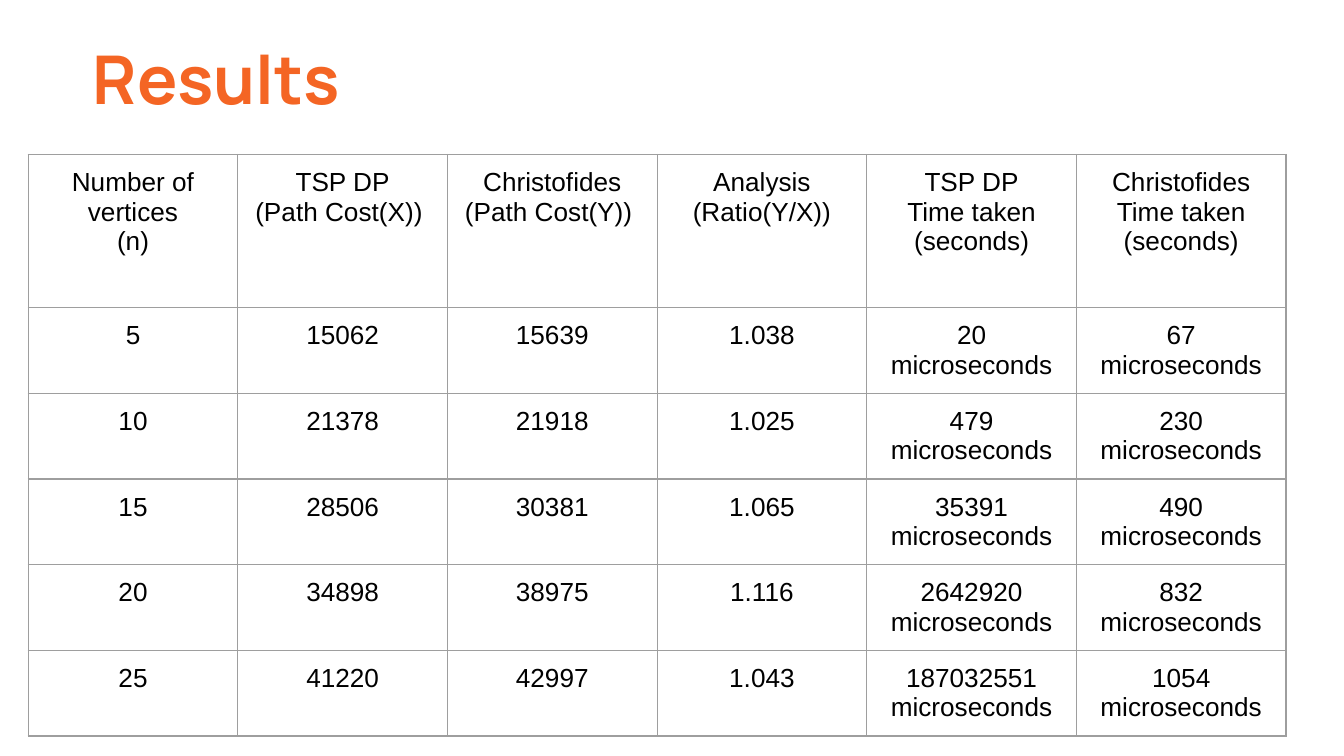
from lxml import etree
from pptx import Presentation
from pptx.dml.color import RGBColor
from pptx.enum import text as t
from pptx.oxml import ns
from pptx.util import Inches, Pt

HEADINGS = [
    "Number of vertices\n(n)",
    "TSP DP\n(Path Cost(X)) ",
    "Christofides\n(Path Cost(Y)) ",
    "Analysis\n(Ratio(Y/X))",
    "TSP DP\nTime taken (seconds)",
    "Christofides\nTime taken\n(seconds)",
]
RESULTS = [
    ("5", "15062", "15639", "1.038", "20", "67"),
    ("10", "21378", "21918", "1.025", "479", "230"),
    ("15", "28506", "30381", "1.065", "35391", "490"),
    ("20", "34898", "38975", "1.116", "2642920", "832"),
    ("25", "41220", "42997", "1.043", "187032551", "1054"),
]
COLUMN_WIDTH = 1.56
HEADER_HEIGHT = 1.14
ROW_HEIGHT = 0.56


def color(value):
    return RGBColor.from_string(value)


def write(frame, content, *, size, font, fill, bold=False,
          align=t.PP_ALIGN.LEFT, space_after=0):
    """Fill a text frame, one paragraph per line of content."""
    frame.text = content
    for paragraph in frame.paragraphs:
        paragraph.alignment = align
        paragraph.space_before = Pt(0)
        paragraph.space_after = Pt(space_after)
        for run in paragraph.runs:
            run.font.size = Pt(size)
            run.font.name = font
            run.font.bold = bold
            run.font.color.rgb = color(fill)


def set_margins(holder):
    holder.margin_left = holder.margin_right = Inches(0.1)
    holder.margin_top = holder.margin_bottom = Inches(0.1)


def set_borders(cell, line_color, width):
    properties = cell._tc.get_or_add_tcPr()
    for position, side in enumerate(("lnL", "lnR", "lnT", "lnB")):
        line = etree.Element(ns.qn(f"a:{side}"), w=str(Pt(width)))
        solid = etree.SubElement(line, ns.qn("a:solidFill"))
        etree.SubElement(solid, ns.qn("a:srgbClr"), val=line_color)
        properties.insert(position, line)


def add_title(slide, content):
    title = slide.shapes.title
    title.left, title.top = Inches(0.59), Inches(0.18)
    title.width, title.height = Inches(8.86), Inches(0.84)
    frame = title.text_frame
    set_margins(frame)
    frame.word_wrap = True
    frame.auto_size = t.MSO_AUTO_SIZE.NONE
    frame.vertical_anchor = t.MSO_ANCHOR.TOP
    write(frame, content, size=36, font="Manrope", fill="F46524", bold=True,
          space_after=16)


def add_results_table(slide, rows):
    heights = [HEADER_HEIGHT] + [ROW_HEIGHT] * (len(rows) - 1)
    column_count = len(rows[0])
    table = slide.shapes.add_table(
        len(rows), column_count, Inches(0.21), Inches(1.15),
        Inches(COLUMN_WIDTH * column_count), Inches(sum(heights))).table
    table.first_row = table.horz_banding = False
    for column in table.columns:
        column.width = Inches(COLUMN_WIDTH)
    for row, height, values in zip(table.rows, heights, rows):
        row.height = Inches(height)
        for cell, value in zip(row.cells, values):
            set_margins(cell)
            cell.fill.background()
            set_borders(cell, "9E9E9E", 0.75)
            write(cell.text_frame, value, size=14, font="Arial",
                  fill="000000", align=t.PP_ALIGN.CENTER)


def main():
    deck = Presentation()
    deck.slide_width = Inches(10)
    deck.slide_height = deck.slide_width * 9 // 16
    slide = deck.slides.add_slide(deck.slide_layouts[5])
    slide.background.fill.solid()
    slide.background.fill.fore_color.rgb = color("FFFFFF")

    add_title(slide, "Results")
    measurements = [
        [*costs, f"{exact_time} microseconds", f"{christofides_time} microseconds"]
        for *costs, exact_time, christofides_time in RESULTS
    ]
    add_results_table(slide, [HEADINGS, *measurements])
    deck.save("out.pptx")


if __name__ == "__main__":
    main()
